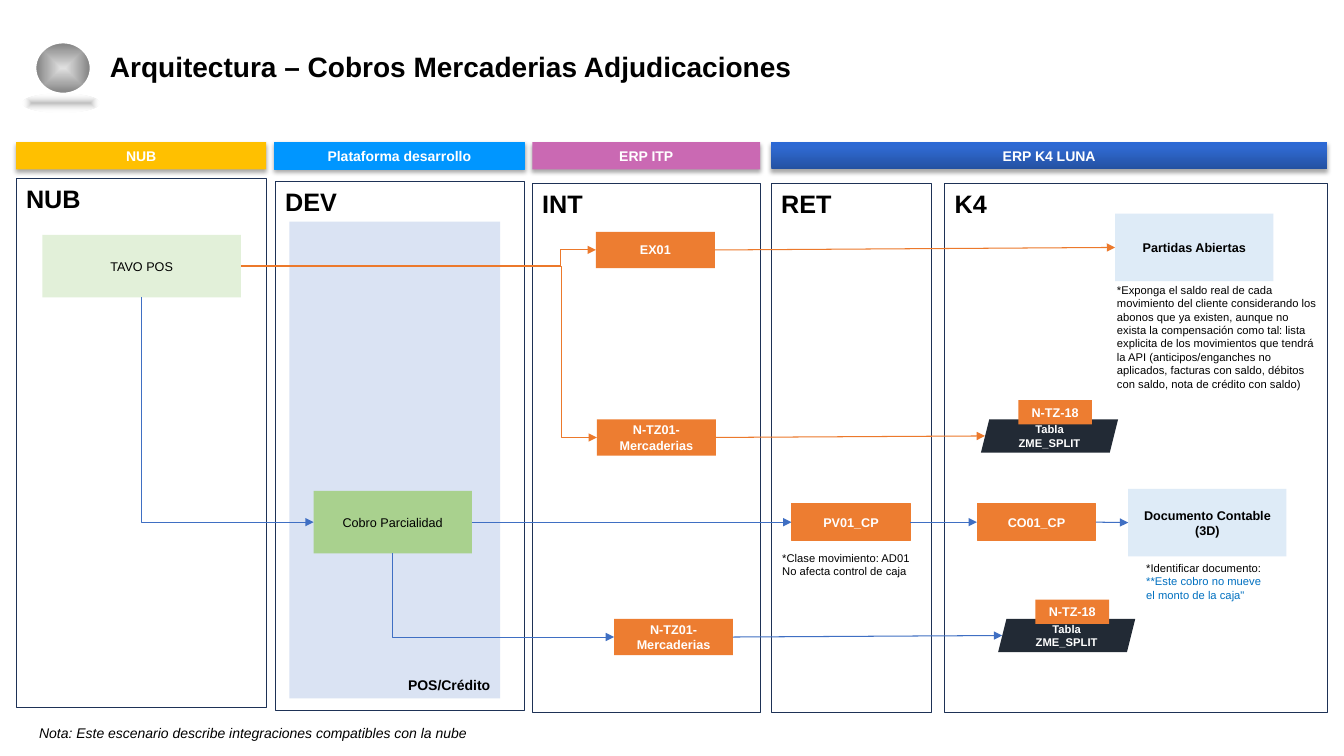
from pptx import Presentation
from pptx.dml.color import RGBColor
from pptx.enum.shapes import MSO_CONNECTOR, MSO_SHAPE
from pptx.enum.text import MSO_ANCHOR, MSO_AUTO_SIZE, PP_ALIGN
from pptx.oxml import parse_xml
from pptx.oxml.ns import nsdecls, qn
from pptx.util import Inches, Pt

COLORS = {
    "black": "000000", "white": "FFFFFF", "frame": "1E3256", "zone": "DAE3F3",
    "cloud": "FFC000", "platform": "0096FF", "integration": "CA69B3",
    "service": "ED7D31", "document": "DEEBF7", "table": "222A35",
    "origin": "E2F0D9", "payment": "A9D18E", "note": "0070C0",
    "orange_flow": "EC792B", "blue_flow": "3F6FC3",
    "gray": "808080", "light_gray": "E0E0E0",
    "core_dark": "2451A1", "core": "2F69D1", "core_light": "2C69D5",
}
CENTER_PATH = '<a:path path="rect"><a:fillToRect l="50000" t="50000" r="50000" b="50000"/></a:path>'
UPWARD = '<a:lin ang="16200000" scaled="0"/>'
TOP, LEFT, BOTTOM, RIGHT = range(4)


def rgb(name):
    """Return the named colour."""
    return RGBColor.from_string(COLORS[name])


def place(box, dx, dy, width, height):
    """Return a box offset from the corner of another box."""
    return box[0] + dx, box[1] + dy, width, height


def write(frame, text, size, color="black", bold=False, italic=False,
          align=PP_ALIGN.LEFT, anchor=MSO_ANCHOR.TOP):
    """Fill a text frame with evenly formatted paragraphs."""
    frame.word_wrap = True
    frame.vertical_anchor = anchor
    frame.text = text
    for paragraph in frame.paragraphs:
        paragraph.alignment = align
        font = paragraph.font
        font.name, font.size, font.bold, font.italic = "Arial", Pt(size), bold, italic
        font.color.rgb = rgb(color)


def add_block(slide, box, fill=None, line=None, kind=MSO_SHAPE.RECTANGLE, weight=0.75):
    """Add a flat shape with an optional fill and outline."""
    block = slide.shapes.add_shape(kind, *map(Inches, box))
    block.shadow.inherit = False
    if fill:
        block.fill.solid()
        block.fill.fore_color.rgb = rgb(fill)
    else:
        block.fill.background()
    if line:
        block.line.color.rgb = rgb(line)
        block.line.width = Pt(weight)
    else:
        block.line.fill.background()
    return block


def add_gradient(block, stops, direction):
    """Give an unfilled shape a gradient of (position, colour, opacity) stops."""
    stop_xml = "".join(
        f'<a:gs pos="{position * 1000}"><a:srgbClr val="{COLORS[color]}">'
        f'<a:alpha val="{opacity * 1000}"/></a:srgbClr></a:gs>'
        for position, color, opacity in stops)
    properties = block.element.spPr
    properties.replace(properties.find(qn("a:noFill")), parse_xml(
        f'<a:gradFill {nsdecls("a")} rotWithShape="1"><a:gsLst>{stop_xml}</a:gsLst>'
        f'{direction}</a:gradFill>'))


def add_node(slide, box, text, fill, color="white", size=9, bold=True,
             kind=MSO_SHAPE.RECTANGLE, line=None):
    """Add a filled box with a centred label."""
    node = add_block(slide, box, fill, line, kind)
    write(node.text_frame, text, size, color, bold,
          align=PP_ALIGN.CENTER, anchor=MSO_ANCHOR.MIDDLE)
    return node


def add_service(slide, box, dx, dy, text, line=None):
    """Add an orange service box inside a lane."""
    return add_node(slide, place(box, dx, dy, 1.18, 0.36), text, "service", line=line)


def add_note(slide, box, text, size=8, italic=False):
    """Add a text note."""
    note = slide.shapes.add_textbox(*map(Inches, box))
    write(note.text_frame, text, size, italic=italic)
    return note


def add_header(slide, box, text, fill=None, line=None):
    """Add a shadowed heading bar above the lanes."""
    header = add_block(slide, box, fill, line)
    write(header.text_frame, text, 10, "white", True, align=PP_ALIGN.CENTER)
    header.element.spPr.find(qn("a:effectLst")).append(parse_xml(
        f'<a:outerShdw {nsdecls("a")} blurRad="{Pt(3.1)}" dist="{Pt(1.8)}" dir="5400000" '
        'rotWithShape="0"><a:srgbClr val="000000"><a:alpha val="35000"/></a:srgbClr></a:outerShdw>'))
    return header


def add_lane(slide, box, text):
    """Add an outlined lane with its name."""
    lane = add_block(slide, box, line="frame")
    write(lane.text_frame, text, 18, bold=True)


def add_table_stack(slide, box):
    """Add a dark table shape with its service tag and return the table's left middle."""
    left, top, width, height = box
    add_node(slide, box, "Tabla ZME_SPLIT", "table", size=8, kind=MSO_SHAPE.PARALLELOGRAM)
    add_node(slide, place(box, 0.37, -0.19, 0.73, 0.24), "N-TZ-18", "service")
    return left + 0.04, top + height / 2


def add_title_band(slide, box):
    """Place the badge and the slide title."""
    badge = add_block(slide, place(box, 0.13, 0, 0.55, 0.51), line="white",
                      kind=MSO_SHAPE.OVAL, weight=1.5)
    add_gradient(badge, [(0, "light_gray", 100), (100, "gray", 100)], CENTER_PATH)
    badge_shade = add_block(slide, place(box, 0, 0.51, 0.77, 0.19), kind=MSO_SHAPE.OVAL)
    add_gradient(badge_shade, [(0, "gray", 50), (100, "white", 0)], CENTER_PATH)
    title = slide.shapes.title
    title.left, title.top, title.width, title.height = map(
        Inches, place(box, 0.77, 0.06, 8.78, 0.4))
    write(title.text_frame, "Arquitectura – Cobros Mercaderias Adjudicaciones", 20, bold=True)
    title.text_frame.auto_size = MSO_AUTO_SIZE.NONE
    title.text_frame.paragraphs[0].line_spacing = 0.9


def add_cloud_region(slide, box):
    """Build the cloud lane and return its sales point."""
    add_header(slide, place(box, 0, 0, 2.48, 0.27), "NUB", "cloud")
    add_lane(slide, place(box, 0, 0.36, 2.48, 5.25), "NUB")
    return add_node(slide, place(box, 0.26, 0.92, 1.97, 0.62), "TAVO POS", "origin",
                    "black", bold=False)


def add_platform_region(slide, box):
    """Build the development lane and return its payment step."""
    zone = add_block(slide, place(box, 0.15, 0.79, 2.09, 4.73), "zone")
    write(zone.text_frame, "POS/Crédito", 10, bold=True, align=PP_ALIGN.RIGHT,
          anchor=MSO_ANCHOR.BOTTOM)
    add_header(slide, place(box, 0, 0, 2.48, 0.27), "Plataforma desarrollo",
               "platform", "platform")
    add_lane(slide, place(box, 0.01, 0.39, 2.47, 5.25), "DEV")
    return add_node(slide, place(box, 0.39, 3.46, 1.57, 0.62), "Cobro Parcialidad",
                    "payment", "black", bold=False)


def add_integration_region(slide, box):
    """Build the integration lane and return its three services."""
    add_header(slide, place(box, 0, 0, 2.26, 0.27), "ERP ITP", "integration")
    add_lane(slide, place(box, 0, 0.41, 2.26, 5.25), "INT")
    return [add_service(slide, box, dx, dy, text) for dx, dy, text in (
        (0.63, 0.89, "EX01"),
        (0.64, 2.75, "N-TZ01-Mercaderias"),
        (0.81, 4.73, "N-TZ01-Mercaderias"))]


def add_core_region(slide, box):
    """Build the retail and core lanes and return their parts."""
    header = add_header(slide, place(box, 0, 0, 5.51, 0.27), "ERP K4 LUNA")
    add_gradient(header, [(0, "core_dark", 100), (80, "core", 100),
                          (100, "core_light", 100)], UPWARD)
    add_lane(slide, place(box, 0, 0.41, 1.59, 5.25), "RET")
    add_lane(slide, place(box, 1.72, 0.41, 3.8, 5.25), "K4")
    retail = add_service(slide, box, 0.2, 3.59, "PV01_CP", "service")
    posting = add_service(slide, box, 2.04, 3.59, "CO01_CP", "service")
    open_items, document = (
        add_node(slide, place(box, dx, dy, 1.57, 0.67), text, "document", "black")
        for dx, dy, text in ((3.41, 0.71, "Partidas Abiertas"),
                             (3.54, 3.44, "Documento Contable\n(3D)")))
    add_note(slide, place(box, 0.01, 4.01, 1.51, 0.37),
             "*Clase movimiento: AD01\nNo afecta control de caja")
    document_note = add_note(slide, place(box, 3.62, 4.11, 1.41, 0.5),
                             "*Identificar documento:\n**Este cobro no mueve el monto de la caja\"")
    document_note.text_frame.paragraphs[1].font.color.rgb = rgb("note")
    add_note(slide, place(box, 3.33, 1.35, 2.19, 1.18),
             "*Exponga el saldo real de cada movimiento del cliente considerando los abonos "
             "que ya existen, aunque no exista la compensación como tal: lista explicita de los "
             "movimientos que tendrá la API (anticipos/enganches no aplicados, facturas con "
             "saldo, débitos con saldo, nota de crédito con saldo)")
    tables = [add_table_stack(slide, place(box, dx, dy, 1.36, 0.33))
              for dx, dy in ((2.08, 2.75), (2.25, 4.73))]
    return retail, posting, open_items, document, tables


def add_flow(slide, color, source, target, side=RIGHT, bend=None):
    """Draw an arrow to a node or point, straight or bent at a fraction of its width."""
    kind = MSO_CONNECTOR.STRAIGHT if bend is None and side == RIGHT else MSO_CONNECTOR.ELBOW
    end = map(Inches, target) if isinstance(target, tuple) else (0, 0)
    flow = slide.shapes.add_connector(kind, 0, 0, *end)
    flow.begin_connect(source, side)
    if not isinstance(target, tuple):
        flow.end_connect(target, LEFT)
    flow.line.color.rgb = rgb(color)
    flow.line.width = Pt(0.75)
    properties = flow.element.spPr
    properties.find(qn("a:ln")).append(parse_xml(f'<a:tailEnd {nsdecls("a")} type="triangle"/>'))
    properties.append(parse_xml(f'<a:effectLst {nsdecls("a")}/>'))
    geometry = properties.find(qn("a:prstGeom"))
    if bend is not None:
        geometry.get_or_add_avLst().append(parse_xml(
            f'<a:gd {nsdecls("a")} name="adj1" fmla="val {round(bend * 100000)}"/>'))
    if side == BOTTOM:
        geometry.set("prst", "bentConnector2")
        width, height = flow.width, flow.height
        flow.left += (width - height) // 2
        flow.top += (height - width) // 2
        flow.width, flow.height = height, width
        transform = properties.find(qn("a:xfrm"))
        transform.set("rot", "16200000")
        transform.set("flipH", "1")


def build_architecture(slide):
    """Place every region and join the parts with arrows."""
    add_title_band(slide, (0.22, 0.42, 9.55, 0.7))
    sales = add_cloud_region(slide, (0.16, 1.41, 2.48, 5.61))
    payment = add_platform_region(slide, (2.72, 1.41, 2.48, 5.64))
    query, split, payment_split = add_integration_region(slide, (5.28, 1.41, 2.26, 5.66))
    retail, posting, open_items, document, tables = add_core_region(
        slide, (7.65, 1.41, 5.52, 5.66))
    add_note(slide, (0.29, 7.14, 5.74, 0.27),
             "Nota: Este escenario describe integraciones compatibles con la nube", 10, True)
    for target in (query, split):
        add_flow(slide, "orange_flow", sales, target, bend=0.9)
    add_flow(slide, "orange_flow", query, open_items)
    add_flow(slide, "orange_flow", split, tables[0])
    for source, target in ((sales, payment), (payment, payment_split)):
        add_flow(slide, "blue_flow", source, target, BOTTOM)
    for source, target in ((payment, retail), (retail, posting), (posting, document),
                           (payment_split, tables[1])):
        add_flow(slide, "blue_flow", source, target)


def main():
    """Create the presentation."""
    deck = Presentation()
    deck.slide_width, deck.slide_height = Inches(13.33), Inches(7.5)
    build_architecture(deck.slides.add_slide(deck.slide_layouts[5]))
    deck.save("out.pptx")


if __name__ == "__main__":
    main()
